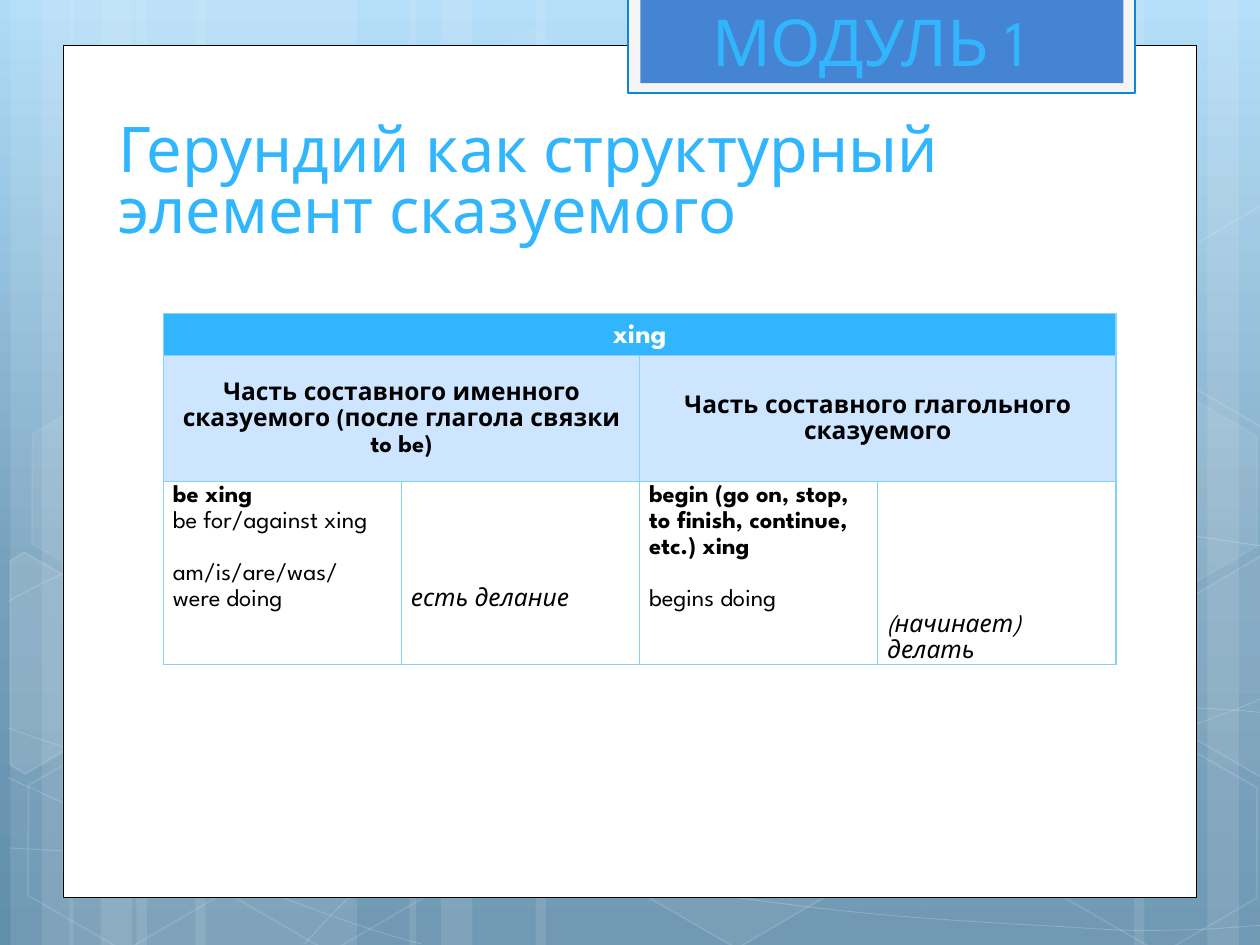
from copy import deepcopy
from math import cos, radians, sin

from lxml import etree
from pptx import Presentation
from pptx import util as u
from pptx.dml.color import RGBColor
from pptx.enum import shapes, text
from pptx.oxml.ns import qn

WHITE = RGBColor(0xFF, 0xFF, 0xFF)
BLACK = RGBColor(0, 0, 0)
SKY = RGBColor(0x31, 0xB6, 0xFD)
PALE = RGBColor(0xCD, 0xE5, 0xFE)
BORDER = RGBColor(0x83, 0xD3, 0xFE)
TAB_BLUE = RGBColor(0x45, 0x84, 0xD3)
TAB_EDGE = RGBColor(0x0B, 0x87, 0xD6)
TAB_RIM = RGBColor(0xF5, 0xF5, 0xF5)
BACKDROP = [(0, RGBColor(0xAD, 0xDB, 0xF8)), (0.62, RGBColor(0x75, 0xA0, 0xBC)),
            (1, RGBColor(0x61, 0x8E, 0xAB))]
FONT = "League Spartan"
COLUMNS, ROWS = 100, 75  # grid over the slide
LINE = 2.07  # height of one table text line, in rows
TILT = 30  # turn of every hexagon, in degrees


def turn_back(points, center):
    """Undo the tilt of points around a center."""
    c, s = cos(radians(TILT)), sin(radians(TILT))
    moved = [(x - center[0], y - center[1]) for x, y in points]
    return [(center[0] + x * c + y * s, center[1] - x * s + y * c) for x, y in moved]


class Slide:
    def __init__(self, deck):
        self.page = deck.slides.add_slide(deck.slide_layouts[6])
        self.column = deck.slide_width / COLUMNS
        self.row = deck.slide_height / ROWS

    def x(self, columns):
        return u.Emu(round(columns * self.column))

    def y(self, rows):
        return u.Emu(round(rows * self.row))

    def frame(self, left, top, width, height):
        return self.x(left), self.y(top), self.x(width), self.y(height)

    def backdrop(self, stops):
        fill = self.page.background.fill
        fill.gradient()
        fill.gradient_angle = 270
        stop_list = self.page._element.find(".//" + qn("a:gsLst"))
        stop_list.append(deepcopy(stop_list[0]))
        for stop, (position, color) in zip(fill.gradient_stops, stops):
            stop.position = position
            stop.color.rgb = color

    def paint(self, fill, color, alpha=None):
        fill.solid()
        fill.fore_color.rgb = color
        if alpha is not None:
            tint = fill._xPr.find(".//" + qn("a:srgbClr"))
            etree.SubElement(tint, qn("a:alpha"), val=str(alpha * 1000))

    def style(self, shape, fill=None, alpha=None, line=None, width=1, line_alpha=None):
        shape.shadow.inherit = False
        if fill is None:
            shape.fill.background()
        else:
            self.paint(shape.fill, fill, alpha)
        if line is None:
            shape.line.fill.background()
        else:
            shape.line.width = u.Pt(width)
            self.paint(shape.line.fill, line, line_alpha)

    def rectangle(self, place, **look):
        shape = self.page.shapes.add_shape(shapes.MSO_SHAPE.RECTANGLE, *self.frame(*place))
        self.style(shape, **look)

    def hexagon(self, left, top, alpha, line_alpha):
        shape = self.page.shapes.add_shape(shapes.MSO_SHAPE.HEXAGON,
                                           *self.frame(left, top, 17.5, 15.2))
        shape.adjustments[0] = 0.285
        shape.rotation = TILT
        self.style(shape, WHITE if alpha else None, alpha, WHITE, 1, line_alpha)

    def outline(self, points, close, **look):
        spots = [(self.x(10 * x), self.y(10 * y)) for x, y in points]
        builder = self.page.shapes.build_freeform(*spots[0])
        builder.add_line_segments(spots[1:], close=close)
        shape = builder.convert_to_shape()
        self.style(shape, **look)
        return shape

    def curve(self, points):
        """A start followed by three points for each cubic segment."""
        shape = self.outline(points, False, line=WHITE, width=0.5, line_alpha=20)
        lines = list(shape._element.iter(qn("a:lnTo")))
        for first in range(0, len(lines), 3):
            head, *rest = lines[first:first + 3]
            head.tag = qn("a:cubicBezTo")
            for line in rest:
                head.append(line[0])
                line.getparent().remove(line)

    def heading(self, place, words, size, spacing=None):
        box = self.page.shapes.add_textbox(*self.frame(*place))
        box.text_frame.word_wrap = True
        box.text_frame.vertical_anchor = text.MSO_ANCHOR.BOTTOM
        para = box.text_frame.paragraphs[0]
        para.text = words
        para.line_spacing = spacing
        self.font(para, size, SKY)

    def font(self, para, size, color, bold=False, italic=False):
        font = para.font
        font.name, font.size, font.color.rgb = FONT, u.Pt(size), color
        font.bold, font.italic = bold, italic

    def table(self, left, top, widths, heights):
        grid = self.page.shapes.add_table(len(heights), len(widths), *self.frame(
            left, top, sum(widths), sum(heights))).table
        for column, width in zip(grid.columns, widths):
            column.width = self.x(width)
        for row, height in zip(grid.rows, heights):
            row.height = self.y(height)
            for cell in row.cells:
                self.border(cell)
                self.paint(cell.fill, WHITE)
        return grid

    def border(self, cell):
        for side in ("a:lnL", "a:lnR", "a:lnT", "a:lnB"):
            edge = etree.SubElement(cell._tc.get_or_add_tcPr(), qn(side), w=str(u.Pt(1)))
            solid = etree.SubElement(edge, qn("a:solidFill"))
            etree.SubElement(solid, qn("a:srgbClr"), val=str(BORDER))

    def cell(self, cell, lines, size=14, color=BLACK, bold=False, gap_at=None):
        """Write lines, the first one bold on request; gap_at is the line after a gap."""
        cell.margin_left = cell.margin_right = self.x(0.75)
        cell.margin_top = cell.margin_bottom = 0
        frame = cell.text_frame
        for index, words in enumerate(lines):
            para = frame.paragraphs[0] if index == 0 else frame.add_paragraph()
            para.text = words
            para.line_spacing = 1.15
            if index == gap_at:
                para.space_before = self.y(LINE)
            self.font(para, size, color, bold and index == 0)

    def header(self, first, last, words, fill, **look):
        first.merge(last)
        self.paint(first.fill, fill)
        self.cell(first, [words], bold=True, **look)
        first.vertical_anchor = text.MSO_ANCHOR.MIDDLE
        first.text_frame.paragraphs[0].alignment = text.PP_ALIGN.CENTER

    def translation(self, cell, words, lines_below):
        self.cell(cell, [words])
        cell.text_frame.paragraphs[0].font.italic = True
        cell.vertical_anchor = text.MSO_ANCHOR.BOTTOM
        cell.margin_bottom = self.y(lines_below * LINE)


def main():
    deck = Presentation()
    deck.slide_width, deck.slide_height = u.Inches(10), u.Inches(7.5)
    slide = Slide(deck)
    slide.backdrop(BACKDROP)

    # Translucent vertical bands
    for left, width in [(10.83, 17.5), (0.83, 5), (3.33, 8.33), (15.5, 17.5), (5.5, 5),
                        (8, 8.33), (73.33, 17.5), (95.83, 5), (90, 8.33), (42.5, 30.83),
                        (32.5, 5), (35, 8.33)]:
        slide.rectangle((left, 0, width, ROWS), fill=WHITE, alpha=10)

    # Thin sweeping curves
    for points in [
        [(0.07, 6.73), (0.61, 6.76), (1.15, 6.79), (1.9, 6.78), (2.65, 6.77), (3.58, 6.75),
         (4.58, 6.65), (5.58, 6.55), (7, 6.36), (7.92, 6.17), (8.83, 5.98), (9.77, 5.68),
         (10.07, 5.51)],
        [(0.07, 4.77), (0.36, 4.61), (0.65, 4.46), (1.21, 4.31), (1.78, 4.16), (2.59, 3.94),
         (3.47, 3.87), (4.36, 3.8), (5.44, 3.79), (6.54, 3.87), (7.64, 3.95), (9.47, 4.26),
         (10.07, 4.34)],
        [(0.06, 6.17), (1.27, 6.72), (2.47, 7.27), (3.34, 7.49)],
        [(0.07, 5.78), (0.38, 5.89), (0.7, 6), (1.28, 6.16), (1.86, 6.31), (2.73, 6.56),
         (3.57, 6.73), (4.4, 6.9), (5.45, 7.08), (6.28, 7.18), (7.11, 7.29), (8, 7.33),
         (8.53, 7.36), (9.05, 7.4), (9.19, 7.38), (9.45, 7.38), (9.71, 7.37), (9.89, 7.35),
         (10.07, 7.34)],
        [(2.42, 7.49), (2.6, 7.29), (2.78, 7.09), (3.02, 6.91), (3.26, 6.73), (3.6, 6.53),
         (3.88, 6.39), (4.16, 6.25), (4.33, 6.19), (4.7, 6.09), (5.06, 5.99), (5.73, 5.85),
         (6.08, 5.78), (6.44, 5.71), (6.49, 5.71), (6.8, 5.69), (7.11, 5.66), (7.6, 5.63),
         (7.94, 5.62), (8.29, 5.61), (8.86, 5.62), (9.53, 5.62), (9.71, 5.63), (9.88, 5.64),
         (10.06, 5.66)],
    ]:
        slide.curve(points)

    # Hexagons, whole and cut by the slide's edges
    for left, top, alpha, line_alpha in [
            (33.4, 3.6, 4, 8), (49.7, 58.9, 6, 12), (1.1, 59.1, None, 12), (1.4, 31.2, 7, 8),
            (17.4, 59.2, None, 12), (75.3, 45.3, 10, 12), (83.4, 59.3, None, 12),
            (83.4, 31.4, 7, 8)]:
        slide.hexagon(left, top, alpha, line_alpha)
    right_cut = [(9.26, 4.85), (10.01, 4.41), (10.09, 4.46), (10.09, 6.13), (10.02, 6.17),
                 (9.26, 5.73)]
    left_cut = [(0.08, 4.45), (0.19, 4.38), (0.96, 4.82), (0.95, 5.7), (0.2, 6.14), (0.08, 6.07)]
    upper_cut = [(x, y - 2.78) for x, y in right_cut]
    for points, center, fill, alpha in [(left_cut, (0.36, 5.35), WHITE, 10),
                                        (right_cut, (9.85, 5.2), WHITE, 4),
                                        (upper_cut, (9.85, 2.42), None, None)]:
        cut = slide.outline(turn_back(points, center), True, fill=fill, alpha=alpha,
                            line=WHITE, line_alpha=12)
        cut.rotation = TILT

    # White sheet and module tab
    slide.rectangle((5, 3.6, 90, 67.65), fill=WHITE, line=BLACK, width=0.5)
    slide.rectangle((49.87, -0.2, 40.2, 7.6), fill=TAB_RIM, line=TAB_EDGE, width=1.25)
    slide.rectangle((50.83, -0.2, 38.33, 6.8), fill=TAB_BLUE)

    # Headings
    slide.heading((8.4, 7.6, 76.8, 12.45), "Герундий как структурный элемент сказуемого", 36,
                  u.Pt(35))
    slide.heading((55.53, 0, 29.9, 6.8), "МОДУЛЬ 1", 37)

    # Gerund table
    grid = slide.table(12.97, 24.87, [18.9] * 4, [3.36, 10, 14.5])
    slide.header(grid.cell(0, 0), grid.cell(0, 3), "xing", SKY, size=16, color=WHITE)
    slide.header(grid.cell(1, 0), grid.cell(1, 1),
                 "Часть составного именного сказуемого (после глагола связки to be)", PALE)
    slide.header(grid.cell(1, 2), grid.cell(1, 3), "Часть составного глагольного сказуемого", PALE)
    slide.cell(grid.cell(2, 0), ["be xing", "be for/against xing", "am/is/are/was/", "were doing"],
               bold=True, gap_at=2)
    slide.translation(grid.cell(2, 1), "есть делание", 2)
    slide.cell(grid.cell(2, 2), ["begin (go on, stop, to finish, continue, etc.) xing",
                                 "begins doing"], bold=True, gap_at=1)
    slide.translation(grid.cell(2, 3), "(начинает) делать", 0)

    deck.save("out.pptx")


if __name__ == "__main__":
    main()
